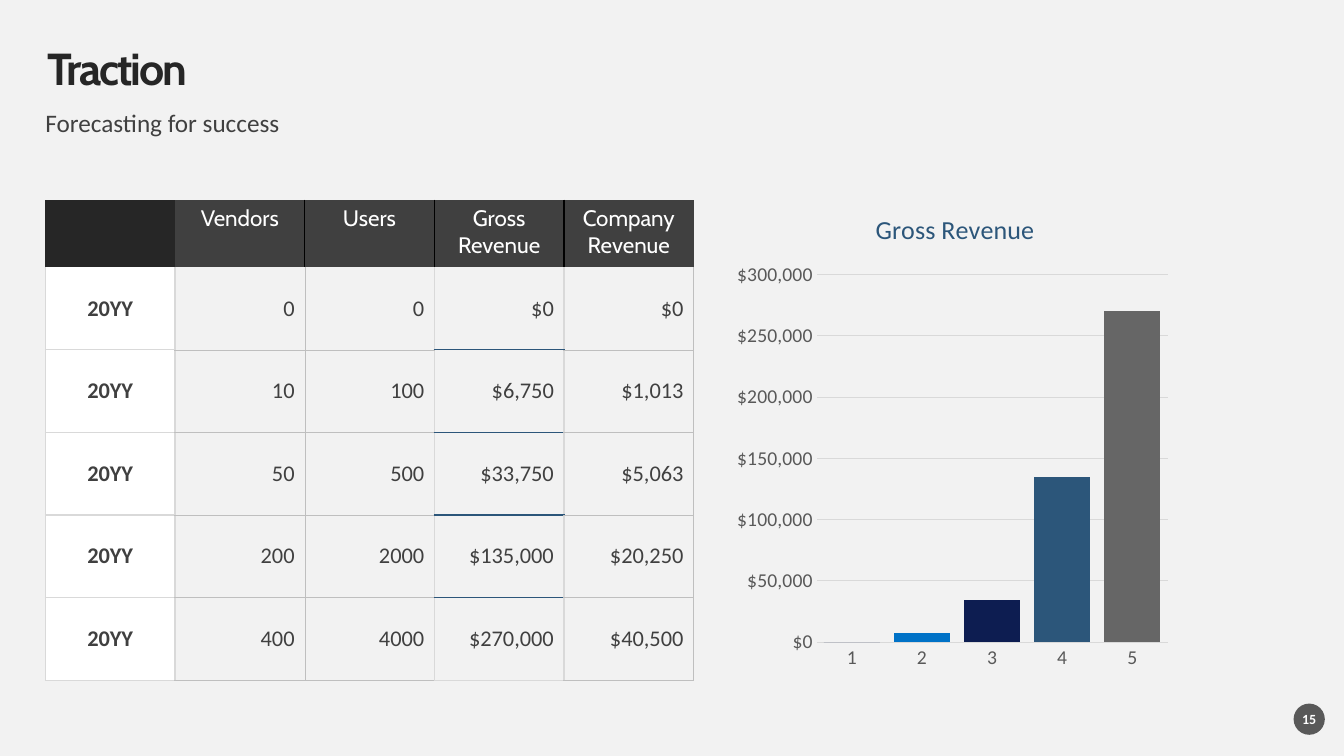
from dataclasses import dataclass
from lxml.etree import SubElement
from pptx import Presentation
from pptx.chart.data import CategoryChartData
from pptx.dml.color import RGBColor
from pptx.dml.fill import FillFormat
from pptx.enum.chart import XL_CHART_TYPE, XL_TICK_MARK
from pptx.enum.shapes import MSO_SHAPE
from pptx.enum.text import MSO_ANCHOR, MSO_AUTO_SIZE, PP_ALIGN
from pptx.oxml.ns import qn
from pptx.slide import Slide
from pptx.text.text import Font, TextFrame
from pptx.util import Inches, Pt


@dataclass
class Style:
    size: float
    hue: str
    face: str = "Calibri"
    bold: bool = False


@dataclass
class Edge:
    hue: str
    width: float


@dataclass
class Column:
    head: str
    cells: list[str]
    left: Edge
    right: Edge
    rule: Edge
    last: Edge
    fill: str = ""
    bold: bool = False
    align: PP_ALIGN = PP_ALIGN.RIGHT


PALE = Edge("D9D9D9", 1)
THIN = Edge("BFBFBF", 0.25)
BLUE = Edge("2C567A", 1)
DARK = Edge("000000", 1)
GROSS = [0, 6750, 33750, 135000, 270000]
SHARE = [0, 1013, 5063, 20250, 40500]
BARS = ["0D1D51", "0072C7", "0D1D51", "2C567A", "666666"]
COLUMNS = [
    Column("", ["20YY"] * 5, PALE, PALE, PALE, PALE, "FFFFFF", True, PP_ALIGN.CENTER),
    Column("Vendors", ["0", "10", "50", "200", "400"], PALE, THIN, THIN, THIN),
    Column("Users", ["0", "100", "500", "2000", "4000"], THIN, PALE, THIN, THIN),
    Column("Gross Revenue", [f"${n:,}" for n in GROSS], PALE, PALE, BLUE, PALE, "F2F2F2"),
    Column("Company Revenue", [f"${n:,}" for n in SHARE], PALE, THIN, THIN, THIN),
]


def tint(hue: str) -> RGBColor:
    return RGBColor.from_string(hue)


def paint(fill: FillFormat, hue: str) -> None:
    if hue:
        fill.solid()
        fill.fore_color.rgb = tint(hue)
    else:
        fill.background()


def dress(font: Font, style: Style) -> None:
    font.size = Pt(style.size)
    font.name = style.face
    font.bold = style.bold
    font.color.rgb = tint(style.hue)


def write(frame: TextFrame, text: str, style: Style, align: PP_ALIGN) -> None:
    line = frame.paragraphs[0]
    line.alignment = align
    run = line.add_run()
    run.text = text
    dress(run.font, style)


def strip(frame: TextFrame, anchor: MSO_ANCHOR) -> None:
    frame.margin_left = frame.margin_right = 0
    frame.margin_top = frame.margin_bottom = 0
    frame.vertical_anchor = anchor
    frame.auto_size = MSO_AUTO_SIZE.NONE
    frame.word_wrap = True


def place(shape, left: float, top: float, width: float, height: float) -> None:
    shape.left, shape.top = Inches(left), Inches(top)
    shape.width, shape.height = Inches(width), Inches(height)


def border(cell, edges: dict[str, Edge | None]) -> None:
    props = cell._tc.get_or_add_tcPr()
    for side, edge in edges.items():
        line = SubElement(props, qn(f"a:ln{side}"))
        if edge is None:
            line.set("w", "0")
            SubElement(line, qn("a:noFill"))
        else:
            line.set("w", str(Pt(edge.width)))
            solid = SubElement(line, qn("a:solidFill"))
            SubElement(solid, qn("a:srgbClr")).set("val", edge.hue)


def add_heads(slide: Slide) -> None:
    title, body = slide.placeholders[0], slide.placeholders[1]
    place(title, 0.47, 0.47, 12.39, 0.47)
    strip(title.text_frame, MSO_ANCHOR.MIDDLE)
    write(title.text_frame, "Traction", Style(32, "262626", "Cabin", True), PP_ALIGN.LEFT)
    line = title.text_frame.paragraphs[0]
    line.line_spacing = 0.9
    line.runs[0].font._element.set("spc", "-150")

    place(body, 0.45, 1.1, 11.09, 0.28)
    strip(body.text_frame, MSO_ANCHOR.TOP)
    write(body.text_frame, "Forecasting for success", Style(18, "404040"), PP_ALIGN.LEFT)
    line = body.text_frame.paragraphs[0]
    line.line_spacing = 0.9
    line.space_before = Pt(10)
    props = line._p.get_or_add_pPr()
    props.set("marL", "0")
    props.set("indent", "0")
    SubElement(props, qn("a:buNone"))


def add_grid(slide: Slide) -> None:
    count = len(GROSS)
    frame = slide.shapes.add_table(
        count + 1, len(COLUMNS), Inches(0.45), Inches(1.98), Inches(6.43), Inches(4.77))
    table = frame.table
    table.horz_banding = False
    style = table._tbl.tblPr.find(qn("a:tableStyleId"))
    style.text = "{2D5ABB26-0587-4C30-8999-92F81FD0307C}"
    for row in table.rows:
        row.height = Inches(0.82)
    table.rows[0].height = Inches(0.67)

    for x, col in enumerate(COLUMNS):
        head = table.cell(0, x)
        border(head, {"L": DARK if x > 1 else None,
                      "R": DARK if 0 < x < len(COLUMNS) - 1 else None,
                      "T": None, "B": None})
        paint(head.fill, "404040" if col.head else "262626")
        if col.head:
            write(head.text_frame, col.head, Style(16, "FFFFFF", "Cabin"), PP_ALIGN.CENTER)
        for y, text in enumerate(col.cells, 1):
            cell = table.cell(y, x)
            border(cell, {"L": col.left, "R": col.right,
                          "T": col.rule if y > 1 else None,
                          "B": col.rule if y < count else col.last})
            paint(cell.fill, col.fill)
            cell.vertical_anchor = MSO_ANCHOR.MIDDLE
            write(cell.text_frame, text, Style(16, "404040", bold=col.bold), col.align)


def pin(part, index: int, spots: dict[str, str | float]) -> None:
    for old in part.findall(qn("c:layout")):
        part.remove(old)
    layout = SubElement(part, qn("c:layout"))
    part.insert(index, layout)
    manual = SubElement(layout, qn("c:manualLayout"))
    for tag, value in spots.items():
        SubElement(manual, qn(f"c:{tag}")).set("val", str(value))


def add_bars(slide: Slide) -> None:
    data = CategoryChartData()
    data.categories = [str(n) for n in range(1, len(GROSS) + 1)]
    data.add_series("Series 1", [0, 7000, 34000, 135000, 270000])
    chart = slide.shapes.add_chart(
        XL_CHART_TYPE.COLUMN_CLUSTERED, Inches(7.21), Inches(1.9),
        Inches(4.46), Inches(4.86), data).chart
    dress(chart.font, Style(10, "000000"))
    chart.has_legend = False
    chart.has_title = True
    title = chart.chart_title
    write(title.text_frame, "Gross Revenue", Style(18.6, "2C567A"), PP_ALIGN.CENTER)
    title.include_in_layout = False
    pin(title._element, 1, {"xMode": "edge", "yMode": "edge", "x": 0.32, "y": 0.03})

    plot = chart.plots[0]
    plot.gap_width = 25
    plot.vary_by_categories = False
    pin(plot._element.getparent(), 0, {
        "layoutTarget": "inner", "xMode": "edge", "yMode": "edge",
        "x": 0.2, "y": 0.17, "w": 0.78, "h": 0.75})
    bars = plot.series[0]
    paint(bars.format.fill, BARS[0])
    for n, hue in enumerate(BARS):
        paint(bars.points[n].format.fill, hue)

    base, scale = chart.category_axis, chart.value_axis
    for axis in (base, scale):
        dress(axis.tick_labels.font, Style(14, "595959"))
        axis.major_tick_mark = axis.minor_tick_mark = XL_TICK_MARK.NONE
    scale.minimum_scale, scale.maximum_scale, scale.major_unit = 0, 300000, 50000
    scale.tick_labels.number_format = "[$$-409]#,##0"
    scale.tick_labels.number_format_is_linked = False
    scale.format.line.fill.background()
    for line in (base.format.line, scale.major_gridlines.format.line):
        paint(line.fill, PALE.hue)
        line.width = Pt(0.75)


def add_badge(slide: Slide) -> None:
    badge = slide.shapes.add_shape(
        MSO_SHAPE.OVAL, Inches(12.83), Inches(6.98), Inches(0.31), Inches(0.31))
    badge.shadow.inherit = False
    paint(badge.fill, "595959")
    badge.line.fill.background()
    strip(badge.text_frame, MSO_ANCHOR.MIDDLE)
    write(badge.text_frame, "15", Style(10, "FFFFFF", bold=True), PP_ALIGN.CENTER)


def main() -> None:
    deck = Presentation()
    deck.slide_width, deck.slide_height = Inches(13.33), Inches(7.5)
    slide = deck.slides.add_slide(deck.slide_layouts[1])
    paint(slide.background.fill, "F2F2F2")
    add_heads(slide)
    add_grid(slide)
    add_bars(slide)
    add_badge(slide)
    deck.save("out.pptx")


if __name__ == "__main__":
    main()
